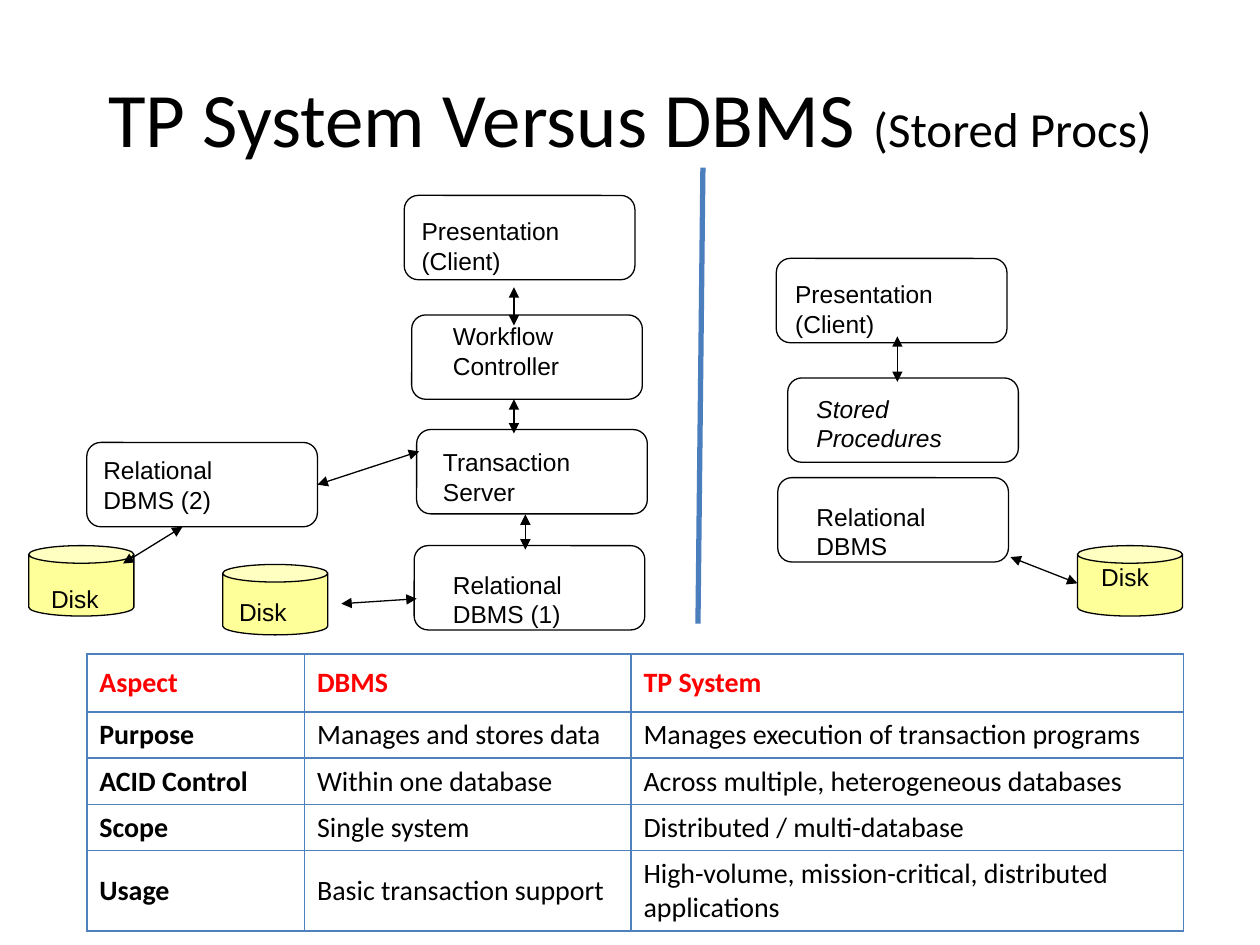
from lxml import etree
from pptx import Presentation
from pptx.dml.color import RGBColor
from pptx.enum import shapes, text
from pptx.oxml import ns
from pptx.util import Cm, Pt

BLACK = RGBColor(0, 0, 0)
RED = RGBColor(0xFF, 0, 0)
DISK_YELLOW = RGBColor(0xFF, 0xFF, 0x99)
DIVIDER_BLUE = RGBColor(0x4B, 0x7E, 0xBC)
BORDER_BLUE = "4F81BD"

BOX_SIZE = 4.65, 1.7
DISK_SIZE = 2.12, 1.42

TABLE_ROWS = [
    ("Aspect", "DBMS", "TP System"),
    ("Purpose", "Manages and stores data", "Manages execution of transaction programs"),
    ("ACID Control", "Within one database", "Across multiple, heterogeneous databases"),
    ("Scope", "Single system", "Distributed / multi-database"),
    ("Usage", "Basic transaction support",
     "High-volume, mission-critical, distributed applications"),
]


def add_run(paragraph, content, size=14, font="Arial", color=BLACK, bold=False, italic=False):
    run = paragraph.add_run()
    run.text = content
    run.font.size = Pt(size)
    run.font.name = font
    run.font.color.rgb = color
    run.font.bold = bold
    run.font.italic = italic


def write_lines(frame, lines, **style):
    for index, line in enumerate(lines):
        paragraph = frame.add_paragraph() if index else frame.paragraphs[0]
        paragraph.alignment = text.PP_ALIGN.LEFT
        add_run(paragraph, line, **style)


def add_outlined(slide, kind, left, top, size, fill=None):
    shape = slide.shapes.add_shape(kind, Cm(left), Cm(top), Cm(size[0]), Cm(size[1]))
    shape.shadow.inherit = False
    shape.line.color.rgb = BLACK
    shape.line.width = Pt(0.75)
    if fill is None:
        shape.fill.background()
    else:
        shape.fill.solid()
        shape.fill.fore_color.rgb = fill
    return shape


def add_label(slide, left, top, width, lines, **style):
    height = 0.86 if len(lines) == 1 else 1.45
    label = slide.shapes.add_textbox(Cm(left), Cm(top), Cm(width), Cm(height))
    label.text_frame.word_wrap = True
    write_lines(label.text_frame, lines, **style)


def add_box(slide, left, top):
    shape = add_outlined(slide, shapes.MSO_SHAPE.ROUNDED_RECTANGLE, left, top, BOX_SIZE)
    shape.adjustments[0] = 0.167
    return shape


def add_labelled_box(slide, left, top, lines, offset, width, **style):
    """Draw a box with a label shifted by offset from its top left corner."""
    add_box(slide, left, top)
    add_label(slide, left + offset[0], top + offset[1], width, lines, **style)


def add_disk(slide, left, top, offset):
    add_outlined(slide, shapes.MSO_SHAPE.CAN, left, top, DISK_SIZE, DISK_YELLOW)
    add_label(slide, left + offset[0], top + offset[1], 1.88, ["Disk"])


def add_line(slide, start, end, color=BLACK, width=0.75, arrows=True):
    line = slide.shapes.add_connector(
        shapes.MSO_CONNECTOR.STRAIGHT, *(Cm(value) for value in (*start, *end)))
    line.line.color.rgb = color
    line.line.width = Pt(width)
    if arrows:
        outline = line.line._get_or_add_ln()
        for tag in ("a:headEnd", "a:tailEnd"):
            etree.SubElement(outline, ns.qn(tag), type="triangle")
    etree.SubElement(line._element.spPr, ns.qn("a:effectLst"))
    return line


def add_title(slide, left, top, width, height):
    box = slide.shapes.add_textbox(Cm(left), Cm(top), Cm(width), Cm(height))
    frame = box.text_frame
    frame.word_wrap = True
    frame.vertical_anchor = text.MSO_ANCHOR.MIDDLE
    paragraph = frame.paragraphs[0]
    paragraph.alignment = text.PP_ALIGN.CENTER
    add_run(paragraph, "TP System Versus DBMS ", size=44, font="Calibri")
    add_run(paragraph, "(Stored Procs)", size=28, font="Calibri")


def add_tp_system(slide, left, top):
    boxes = [
        (7.57, 0, ["Presentation", "(Client)"], (0.1, 0.3), 4.47),
        (7.72, 2.41, ["Workflow", "Controller"], (0.58, 0), 3.58),
        (7.82, 4.72, ["Transaction", "Server"], (0.28, 0.23), 4.19),
        (7.77, 7.06, ["Relational", "DBMS (1)"], (0.53, 0.36), 3.66),
    ]
    for x, y, lines, offset, width in boxes:
        add_labelled_box(slide, left + x, top + y, lines, offset, width)

    second_dbms = add_box(slide, left + 1.17, top + 4.98)
    frame = second_dbms.text_frame
    frame.word_wrap = False
    frame.vertical_anchor = text.MSO_ANCHOR.MIDDLE
    write_lines(frame, ["Relational", "DBMS (2)"])

    add_disk(slide, left + 3.91, top + 7.44, (0.08, 0.53))
    add_disk(slide, left, top + 7.06, (0.2, 0.64))

    arrows = [
        (9.78, 1.85, 9.78, 2.62),
        (9.78, 4.11, 9.78, 4.8),
        (10.01, 6.43, 10.01, 7.14),
        (7.82, 8.13, 6.3, 8.23),
        (3.1, 6.68, 1.9, 7.42),
        (7.87, 5.16, 5.82, 5.83),
    ]
    for x1, y1, x2, y2 in arrows:
        arrow = add_line(slide, (left + x1, top + y1), (left + x2, top + y2))
    arrow.end_connect(second_dbms, 3)


def add_stored_procedures(slide, left, top):
    add_labelled_box(slide, left, top, ["Presentation", "(Client)"], (0.13, 0.3), 4.47)
    add_labelled_box(slide, left + 0.23, top + 2.41, ["Stored", "Procedures"],
                     (0.33, 0.2), 4.11, italic=True)
    add_labelled_box(slide, left + 0.03, top + 4.42, ["Relational", "DBMS"],
                     (0.53, 0.36), 3.66)
    add_disk(slide, left + 6.07, top + 5.79, (0.23, 0.2))
    add_line(slide, (left + 2.44, top + 1.57), (left + 2.44, top + 2.49))
    add_line(slide, (left + 6.07, top + 6.55), (left + 4.72, top + 6.02))


def set_borders(cell):
    properties = cell._tc.get_or_add_tcPr()
    for index, side in enumerate(("a:lnL", "a:lnR", "a:lnT", "a:lnB")):
        border = etree.Element(ns.qn(side), w=str(Pt(1)))
        fill = etree.SubElement(border, ns.qn("a:solidFill"))
        etree.SubElement(fill, ns.qn("a:srgbClr"), val=BORDER_BLUE)
        properties.insert(index, border)


def add_comparison_table(slide, left, top):
    widths = [4.39, 6.58, 11.14]
    heights = [1.17, 0.93, 0.93, 0.93, 1.62]
    table = slide.shapes.add_table(
        len(heights), len(widths), Cm(left), Cm(top), Cm(sum(widths)), Cm(sum(heights))).table
    table.first_row = False
    table.horz_banding = False
    for column, width in zip(table.columns, widths):
        column.width = Cm(width)
    for row, height in zip(table.rows, heights):
        row.height = Cm(height)
    for r, row in enumerate(TABLE_ROWS):
        for c, content in enumerate(row):
            cell = table.cell(r, c)
            cell.vertical_anchor = text.MSO_ANCHOR.MIDDLE
            cell.fill.background()
            set_borders(cell)
            write_lines(cell.text_frame, [content], size=16, font="Calibri",
                        color=BLACK if r else RED, bold=r == 0 or c == 0)


def main():
    presentation = Presentation()
    presentation.slide_width = Cm(25.4)
    presentation.slide_height = Cm(19.05)
    slide = presentation.slides.add_slide(presentation.slide_layouts[6])
    add_title(slide, 1.27, 0.76, 22.86, 3.18)
    add_stored_procedures(slide, 15.65, 5.21)
    add_tp_system(slide, 0.58, 3.94)
    add_line(slide, (14.17, 3.38), (14.07, 12.57), color=DIVIDER_BLUE, width=3, arrows=False)
    add_comparison_table(slide, 1.75, 13.18)
    presentation.save("out.pptx")


if __name__ == "__main__":
    main()
